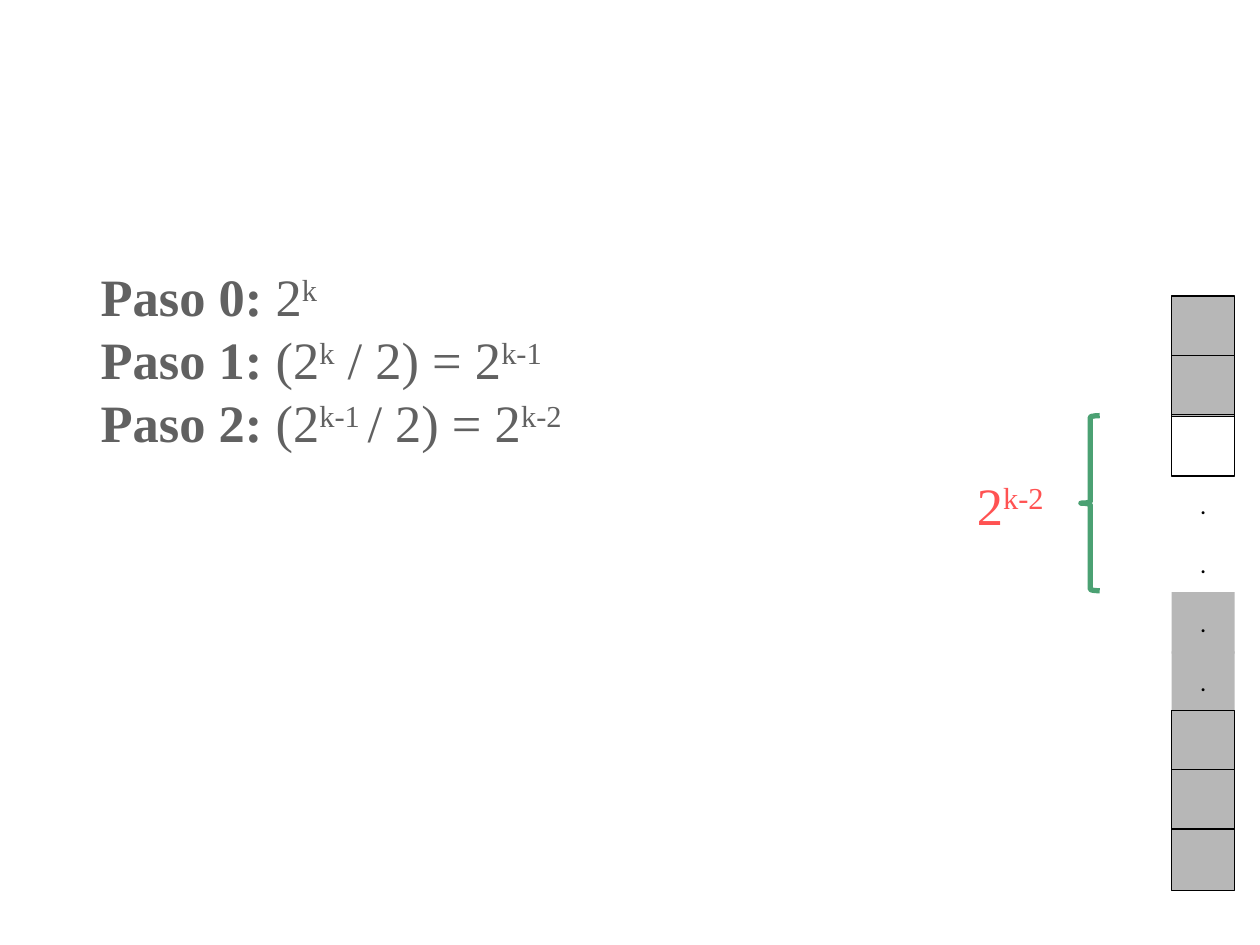
from lxml import etree
from pptx import Presentation, util as u
from pptx.dml.color import RGBColor
from pptx.enum import shapes, text

Cm, Pt = u.Cm, u.Pt
CELL_LEFT, CELL_TOP, CELL_W, CELL_H = 23.62, 5.97, 1.27, 1.24
CELL_PITCH = 10.74 / 9
GREY, BLACK = "B7B7B7", "000000"


def color(value):
    return RGBColor.from_string(value)


class Sheet:
    serif, sans = "Times New Roman", "Calibri"
    formula_size, dot_size = 30, 14
    inset = Cm(0.25)

    def __init__(self, prs):
        self.slide = prs.slides.add_slide(prs.slide_layouts[6])

    def frame(self, sp, anchor):
        tf = sp.text_frame
        tf.word_wrap = True
        tf.vertical_anchor = anchor
        tf.margin_left = tf.margin_right = self.inset
        tf.margin_top = tf.margin_bottom = self.inset
        return tf

    def style(self, r, size, name, hue, bold=False):
        r.font.size, r.font.name, r.font.bold = Pt(size), name, bold
        r.font.color.rgb = color(hue)

    def formulas(self, box, lines, hue, align, anchor):
        sp = self.slide.shapes.add_textbox(*map(Cm, box))
        tf = self.frame(sp, anchor)
        for i, line in enumerate(lines):
            p = tf.paragraphs[0] if i == 0 else tf.add_paragraph()
            p.alignment = align
            for words, kind in line:
                r = p.add_run()
                r.text = words
                self.style(r, self.formula_size, self.serif, hue, kind == "bold")
                if kind == "super":
                    r._r.get_or_add_rPr().set("baseline", "30000")

    def shape(self, kind, box, fill=None, line=None, width=0.75):
        sp = self.slide.shapes.add_shape(kind, *map(Cm, box))
        sp.shadow.inherit = False
        if fill:
            sp.fill.solid()
            sp.fill.fore_color.rgb = color(fill)
        else:
            sp.fill.background()
        if line:
            sp.line.color.rgb = color(line)
            sp.line.width = Pt(width)
        else:
            sp.line.fill.background()
        return sp

    def cell(self, row, fill, dotted):
        box = (CELL_LEFT, CELL_TOP + row * CELL_PITCH, CELL_W, CELL_H)
        if dotted and not fill:
            sp = self.slide.shapes.add_textbox(*map(Cm, box))
        else:
            line = None if dotted else BLACK
            sp = self.shape(shapes.MSO_SHAPE.RECTANGLE, box, fill, line)
        if dotted:
            tf = self.frame(sp, text.MSO_ANCHOR.MIDDLE)
            tf.text = "."
            p = tf.paragraphs[0]
            p.alignment = text.PP_ALIGN.CENTER
            self.style(p.runs[0], self.dot_size, self.sans, BLACK)

    def brace(self, box, hue, width):
        sp = self.shape(shapes.MSO_SHAPE.LEFT_BRACE, box, None, hue, width)
        sp.adjustments[0], sp.adjustments[1] = 0.083, 0.5


def main():
    prs = Presentation()
    prs.slide_width, prs.slide_height = Cm(25.4), Cm(19.05)
    s = Sheet(prs)

    s.formulas((17.86, 9.35, 3.43, 1.63), [[("2", ""), ("k-2", "super")]],
               "FF5252", text.PP_ALIGN.RIGHT, text.MSO_ANCHOR.MIDDLE)
    for row in range(10):
        s.cell(row, None if 2 <= row <= 4 else GREY, 3 <= row <= 6)
    s.brace((21.79, 8.38, 0.38, 3.53), "4BA173", 3)

    steps = [
        [("Paso 0:", "bold"), (" 2", ""), ("k", "super")],
        [("Paso 1:", "bold"), (" (2", ""), ("k", "super"),
         (" / 2) = 2", ""), ("k-1", "super")],
        [("Paso 2: ", "bold"), ("(2", ""), ("k-1 ", "super"),
         ("/ 2) = 2", ""), ("k-2", "super")],
    ]
    s.formulas((1.78, 5.08, 12.42, 9.27), steps, "616161",
               text.PP_ALIGN.LEFT, text.MSO_ANCHOR.TOP)
    prs.save("out.pptx")


if __name__ == "__main__":
    main()
